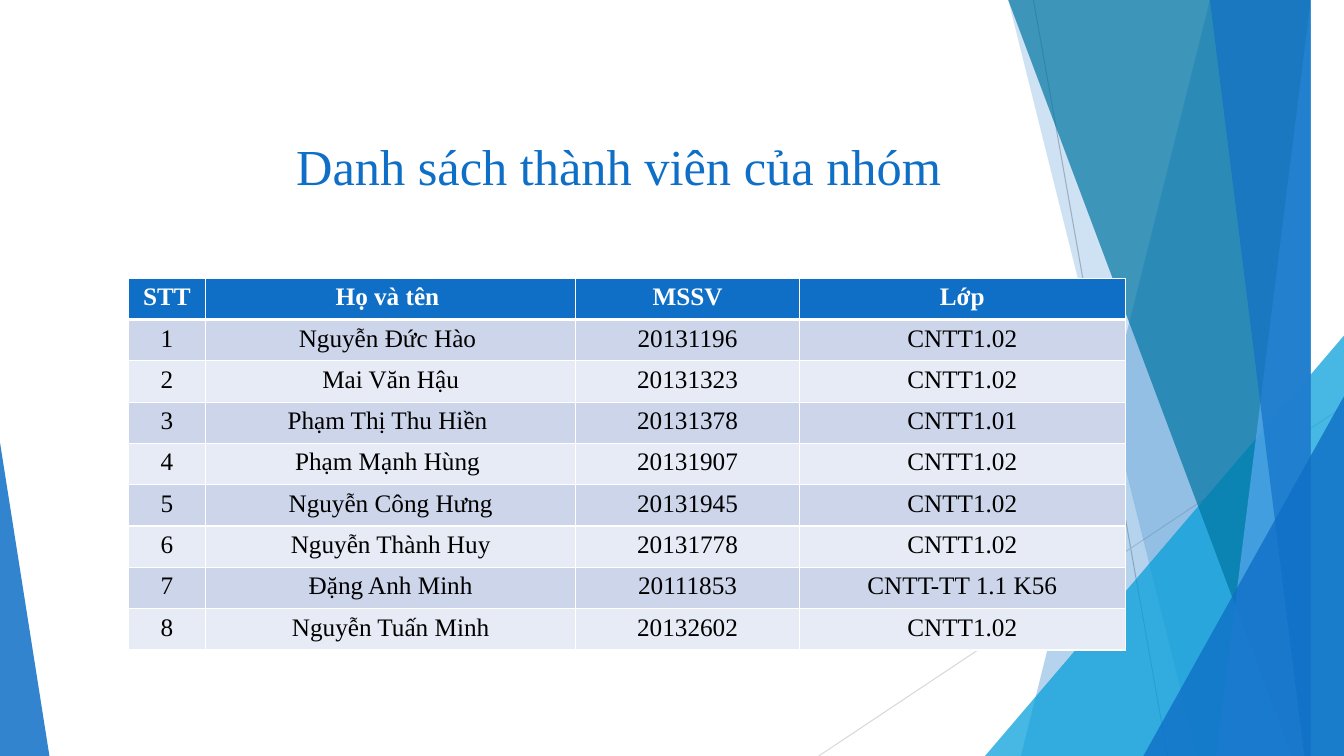
from lxml import etree
from pptx import Presentation, util as u
from pptx.dml.color import RGBColor
from pptx.enum import shapes, text
from pptx.oxml import ns

BLUE = RGBColor(0x0F, 0x6F, 0xC6)
CYAN = RGBColor(0x00, 0x9D, 0xD9)
TEAL = RGBColor(0x00, 0x76, 0xA3)
SKY = RGBColor(0x59, 0xAA, 0xF2)
GREY = RGBColor(0xBF, 0xBF, 0xBF)
LIGHT_GREY = RGBColor(0xD9, 0xD9, 0xD9)
WHITE = RGBColor(0xFF, 0xFF, 0xFF)
BLACK = RGBColor(0x00, 0x00, 0x00)
BAND_DARK = RGBColor(0xCC, 0xD5, 0xEA)
BAND_LIGHT = RGBColor(0xE7, 0xEB, 0xF5)

WIDTH, HEIGHT, TOP = 13.33, 7.5, -0.01
COLUMN_WIDTHS = [0.77, 3.67, 2.22, 3.23]
ROW_HEIGHT = 0.41
MEMBERS = [
    ("STT", "Họ và tên ", "MSSV", "Lớp"),
    ("1", "Nguyễn Đức Hào ", "20131196", "CNTT1.02"),
    ("2", "Mai Văn Hậu", "20131323", "CNTT1.02"),
    ("3", "Phạm Thị Thu Hiền ", "20131378", "CNTT1.01"),
    ("4", "Phạm Mạnh Hùng ", "20131907", "CNTT1.02"),
    ("5", "Nguyễn Công Hưng", "20131945", "CNTT1.02"),
    ("6", "Nguyễn Thành Huy", "20131778", "CNTT1.02"),
    ("7", "Đặng Anh Minh", "20111853", "CNTT-TT 1.1 K56"),
    ("8", "Nguyễn Tuấn Minh", "20132602", "CNTT1.02"),
]


class SlideBuilder:
    font_name = "Times New Roman"

    def __init__(self, slide):
        self.slide = slide

    def set_text(self, text_frame, words, size, color, bold=False):
        text_frame.text = words
        paragraph = text_frame.paragraphs[0]
        paragraph.alignment = text.PP_ALIGN.CENTER
        font = paragraph.runs[0].font
        font.name = self.font_name
        font.size = u.Pt(size)
        font.bold = bold
        font.color.rgb = color

    def title(self, words, left, top, width, height):
        shape = self.slide.shapes.title
        shape.left, shape.top = u.Inches(left), u.Inches(top)
        shape.width, shape.height = u.Inches(width), u.Inches(height)
        shape.text_frame.vertical_anchor = text.MSO_ANCHOR.MIDDLE
        self.set_text(shape.text_frame, words, 36, BLUE)

    def line(self, start, end, color):
        connector = self.slide.shapes.add_connector(
            shapes.MSO_CONNECTOR.STRAIGHT, *map(u.Inches, start + end))
        connector.line.color.rgb = color
        connector.line.width = u.Pt(0.75)
        etree.SubElement(connector._element.spPr, ns.qn("a:effectLst"))

    def paint(self, shape, color, opacity):
        shape.shadow.inherit = False
        shape.line.fill.background()
        shape.fill.solid()
        shape.fill.fore_color.rgb = color
        rgb = shape._element.spPr.find(".//" + ns.qn("a:srgbClr"))
        etree.SubElement(rgb, ns.qn("a:alpha"), val=str(opacity * 1000))

    def facet(self, top_x, bottom_x, color, opacity):
        builder = self.slide.shapes.build_freeform(top_x, TOP, scale=u.Inches(1))
        builder.add_line_segments(
            [(WIDTH, TOP), (WIDTH, HEIGHT), (bottom_x, HEIGHT)], close=True)
        self.paint(builder.convert_to_shape(), color, opacity)

    def triangle(self, left, top, width, apex, color, opacity):
        shape = self.slide.shapes.add_shape(
            shapes.MSO_SHAPE.ISOSCELES_TRIANGLE, u.Inches(left), u.Inches(top),
            u.Inches(width), u.Inches(HEIGHT - top))
        shape.adjustments[0] = apex
        self.paint(shape, color, opacity)

    def borders(self, cell, top_width, bottom_width):
        properties = cell._tc.get_or_add_tcPr()
        widths = {"lnL": 1, "lnR": 1, "lnT": top_width, "lnB": bottom_width}
        for position, (side, width) in enumerate(widths.items()):
            border = etree.Element(ns.qn("a:" + side), w=str(u.Pt(width)))
            fill = etree.SubElement(border, ns.qn("a:solidFill"))
            etree.SubElement(fill, ns.qn("a:srgbClr"), val=str(WHITE))
            properties.insert(position, border)

    def table(self, rows, left, top):
        table = self.slide.shapes.add_table(
            len(rows), len(COLUMN_WIDTHS), u.Inches(left), u.Inches(top),
            u.Inches(sum(COLUMN_WIDTHS)), u.Inches(ROW_HEIGHT * len(rows))).table
        for column, width in zip(table.columns, COLUMN_WIDTHS):
            column.width = u.Inches(width)
        for row_index, row in enumerate(rows):
            header = row_index == 0
            band = BAND_DARK if row_index % 2 else BAND_LIGHT
            for column_index, words in enumerate(row):
                cell = table.cell(row_index, column_index)
                cell.fill.solid()
                cell.fill.fore_color.rgb = BLUE if header else band
                self.set_text(cell.text_frame, words, 18,
                              WHITE if header else BLACK, header)
                self.borders(cell, 3 if row_index == 1 else 1, 3 if header else 1)


def main():
    presentation = Presentation()
    presentation.slide_width = u.Inches(WIDTH)
    presentation.slide_height = u.Inches(HEIGHT)
    builder = SlideBuilder(
        presentation.slides.add_slide(presentation.slide_layouts[5]))

    builder.line((10.25, 0), (11.58, HEIGHT), GREY)
    builder.line((WIDTH, 4.03), (8.12, HEIGHT), LIGHT_GREY)
    builder.facet(12.28, 10.04, BLUE, 30)
    builder.facet(10.5, 11.83, BLUE, 20)
    builder.triangle(9.77, 3.33, 3.56, 1, CYAN, 72)
    builder.facet(10.21, 12.91, TEAL, 70)
    builder.facet(13.03, 11.92, SKY, 70)
    builder.facet(11.96, 13.18, BLUE, 65)
    builder.triangle(11.34, 3.93, 1.99, 1, BLUE, 80)
    builder.triangle(0, 4.39, 0.49, 0, BLUE, 85)

    builder.title("Danh sách thành viên của nhóm ", 1.5, 1.24, 9.4, 0.81)
    builder.table(MEMBERS, 1.27, 2.76)
    presentation.save("out.pptx")


if __name__ == "__main__":
    main()
